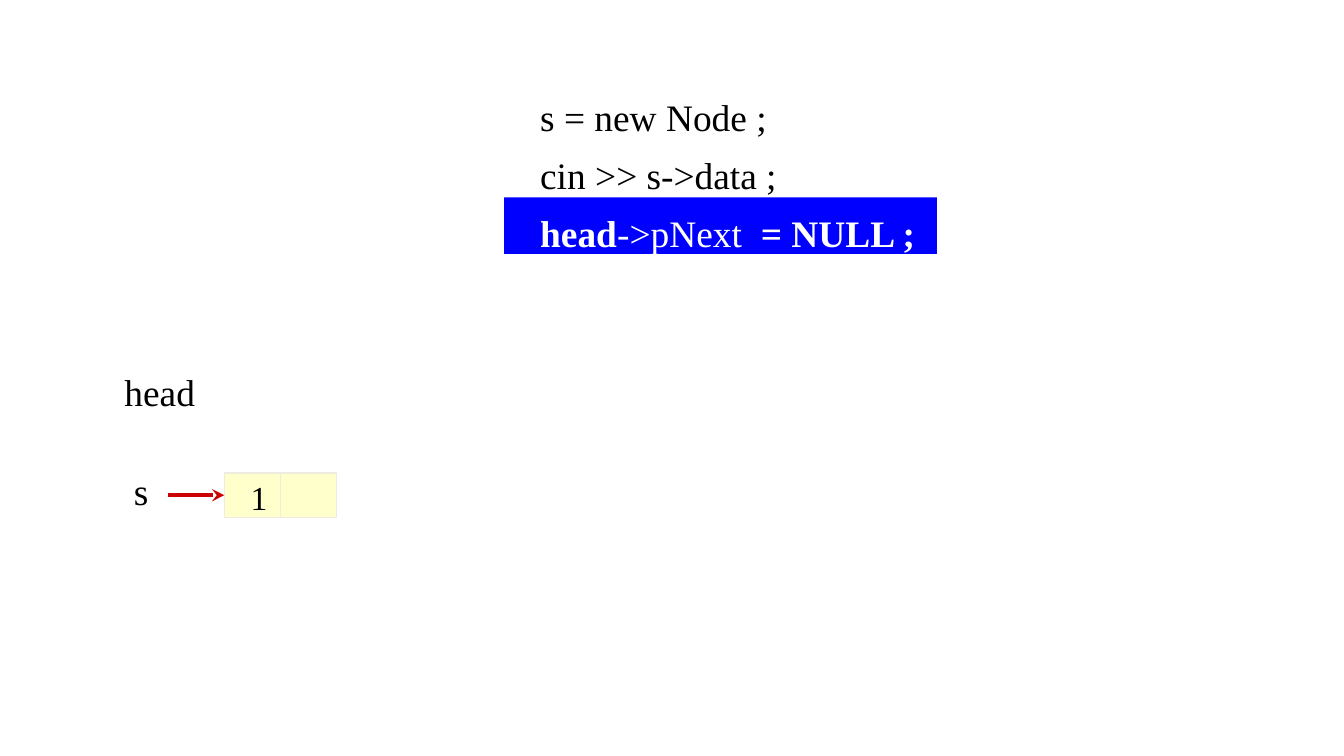
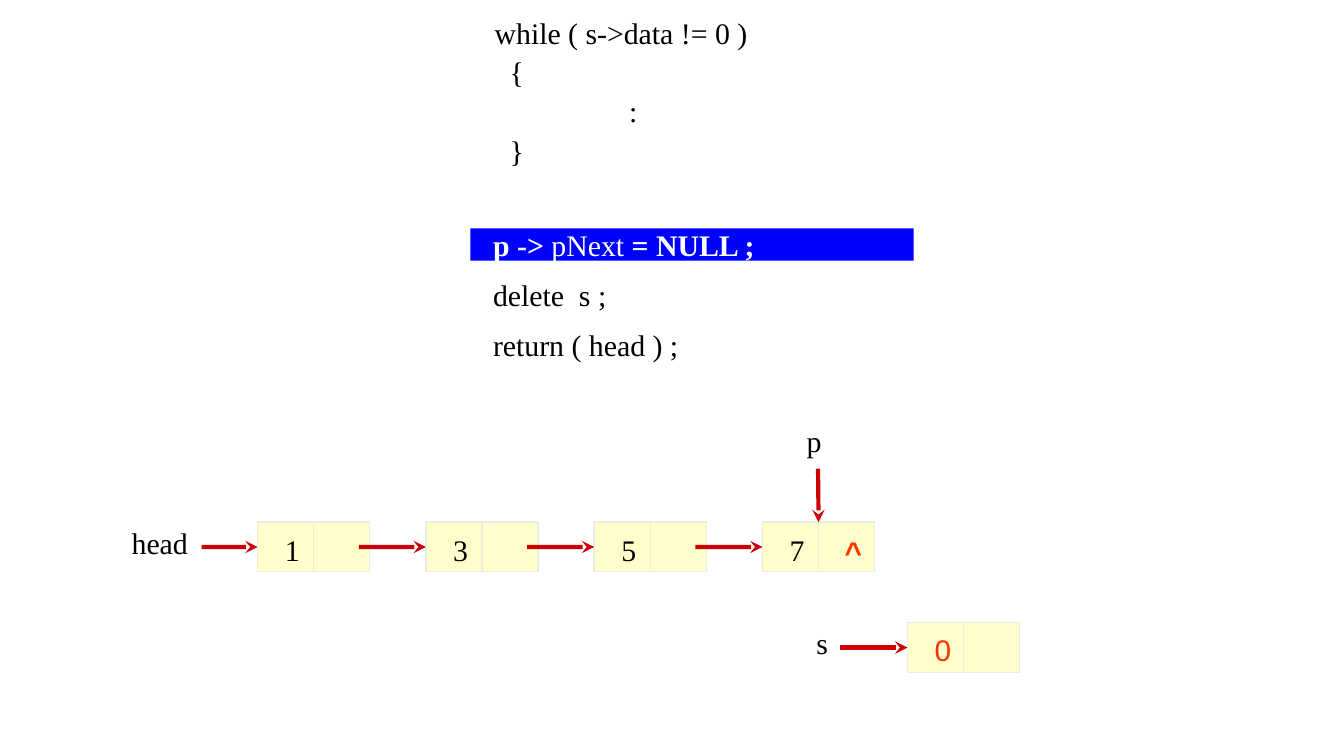
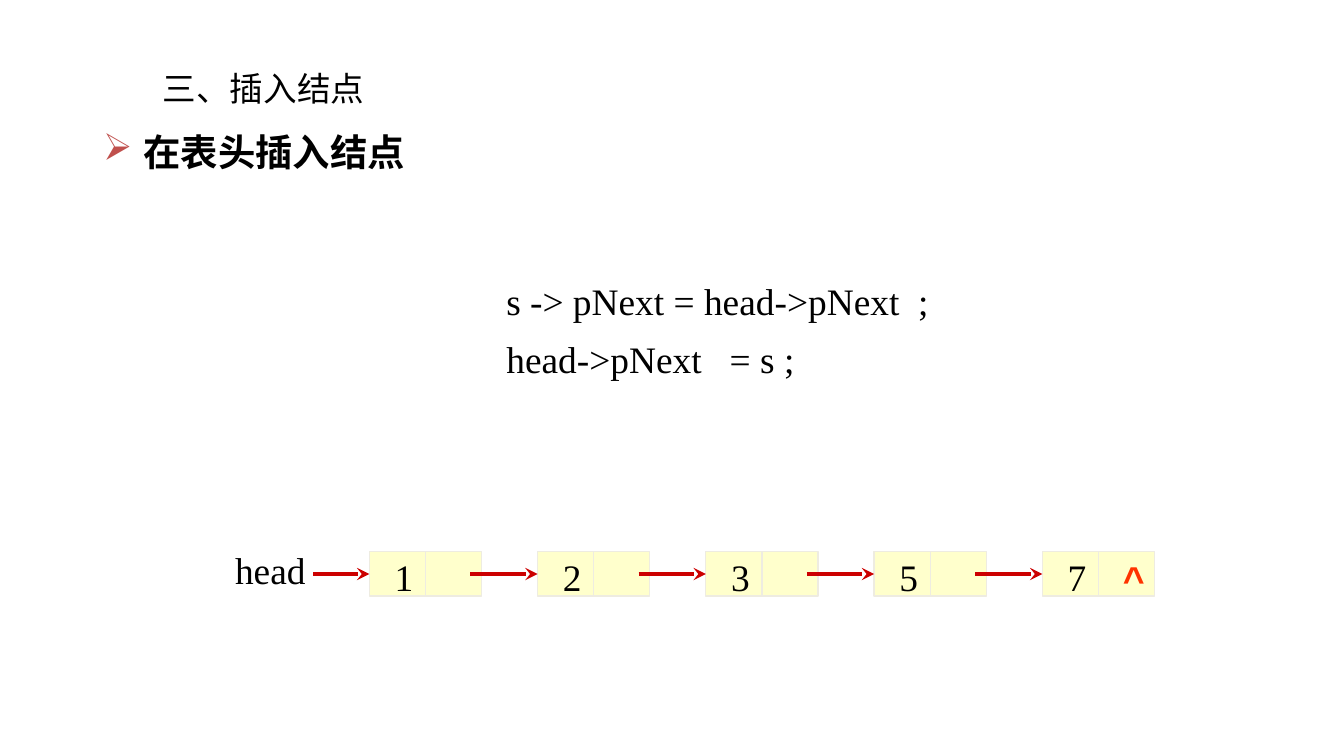
from lxml import etree
from pptx import Presentation
from pptx.dml.color import RGBColor
from pptx.enum import shapes, text
from pptx.oxml import ns
from pptx.util import Cm, Pt

COLORS = {
    "ink": "000000",
    "white": "FFFFFF",
    "band": "0000FF",
    "node": "FFFFCC",
    "edge": "EEECE1",
    "arrow": "CC0000",
    "mark": "FF3300",
    "bullet": "C0504D",
}
SERIF = "Times New Roman"
TITLE_ONLY, BLANK = 5, 6
NODE_WIDTH = 2.12
NODE_PITCH = 3.18
LINK_LENGTH = 1.27


def rgb(name):
    return RGBColor.from_string(COLORS[name])


def add_xml(parent, tag, **attributes):
    return etree.SubElement(parent, ns.qn(tag), attributes)


class Deck:
    def __init__(self):
        self.presentation = Presentation()
        self.presentation.slide_width = Cm(25.4)
        self.presentation.slide_height = Cm(14.29)
        self.slide = None

    def new_slide(self, layout=BLANK):
        layouts = self.presentation.slide_layouts
        self.slide = self.presentation.slides.add_slide(layouts[layout])

    def style(self, paragraph, size, color="ink", font=SERIF, bold=False):
        paragraph.font.size = Pt(size)
        paragraph.font.name = font
        paragraph.font.bold = bold
        paragraph.font.color.rgb = rgb(color)

    def title(self, wording, left, top, width, height):
        title = self.slide.shapes.title
        title.left, title.top = Cm(left), Cm(top)
        title.width, title.height = Cm(width), Cm(height)
        frame = title.text_frame
        frame.text = wording
        frame.vertical_anchor = text.MSO_ANCHOR.MIDDLE
        frame.auto_size = text.MSO_AUTO_SIZE.NONE
        heading = frame.paragraphs[0]
        heading.alignment = text.PP_ALIGN.LEFT
        heading._p.get_or_add_pPr().set("indent", str(Cm(0.18)))
        self.style(heading, 18, font="Calibri")

    def text_box(self, left, top, width, height, wrap=True):
        box = self.slide.shapes.add_textbox(Cm(left), Cm(top), Cm(width), Cm(height))
        frame = box.text_frame
        frame.word_wrap = wrap
        frame.auto_size = text.MSO_AUTO_SIZE.SHAPE_TO_FIT_TEXT
        return frame

    def bullet(self, wording, left, top, width, height):
        point = self.text_box(left, top, width, height).paragraphs[0]
        point.text = wording
        point.line_spacing = 1.4
        properties = point._p.get_or_add_pPr()
        properties.set("marL", str(Cm(0.76)))
        properties.set("indent", str(-Cm(0.76)))
        bullet_color = add_xml(properties, "a:buClr")
        add_xml(bullet_color, "a:srgbClr", val=COLORS["bullet"])
        add_xml(properties, "a:buChar", char="➢")
        self.style(point, 20, bold=True)

    def code(self, lines, left, top, width, height, size, spacing):
        """Write code lines; a line given as (text, bold) pairs is the highlighted one."""
        frame = self.text_box(left, top, width, height)
        for number, line in enumerate(lines):
            statement = frame.add_paragraph() if number else frame.paragraphs[0]
            statement.line_spacing = spacing
            highlighted = not isinstance(line, str)
            for part, bold in line if highlighted else [(line, None)]:
                run = statement.add_run()
                run.text = part
                run.font.bold = bold
                if "\t" in part:
                    tabs = add_xml(statement._p.get_or_add_pPr(), "a:tabLst")
                    add_xml(tabs, "a:tab", pos=str(Cm(2.54)), algn="l")
            self.style(statement, size, "white" if highlighted else "ink")

    def label(self, wording, center_x, center_y, size, **style):
        width = 0.5 + 0.017 * size * len(wording)
        height = 0.25 + 0.042 * size
        frame = self.text_box(center_x - width / 2, center_y - height / 2, width, height, wrap=False)
        frame.vertical_anchor = text.MSO_ANCHOR.MIDDLE
        word = frame.paragraphs[0]
        word.text = wording
        word.alignment = text.PP_ALIGN.CENTER
        self.style(word, size, **style)

    def rectangle(self, left, top, width, height, fill, edge=None):
        rectangle = self.slide.shapes.add_shape(
            shapes.MSO_SHAPE.RECTANGLE, Cm(left), Cm(top), Cm(width), Cm(height))
        rectangle.shadow.inherit = False
        rectangle.fill.solid()
        rectangle.fill.fore_color.rgb = rgb(fill)
        if edge:
            rectangle.line.color.rgb = rgb(edge)
            rectangle.line.width = Pt(0.75)
        else:
            rectangle.line.fill.background()
        return rectangle

    def line(self, start, end, color, weight):
        line = self.slide.shapes.add_connector(
            shapes.MSO_CONNECTOR.STRAIGHT, *map(Cm, start + end))
        line.line.color.rgb = rgb(color)
        line.line.width = Pt(weight)
        add_xml(line._element.spPr, "a:effectLst")
        return line

    def arrow(self, start, end, node, side):
        arrow = self.line(start, end, "arrow", 2.25)
        add_xml(arrow.line._get_or_add_ln(), "a:tailEnd", type="stealth")
        arrow.end_connect(node, side)

    def node(self, left, center_y, height, value, size, reach, **style):
        """Draw a two-part list node with an arrow of length reach into its left side."""
        top = center_y - height / 2
        node = self.rectangle(left, top, NODE_WIDTH, height, "node", "edge")
        middle = left + NODE_WIDTH / 2
        self.line((middle, top), (middle, top + height), "edge", 0.75)
        self.arrow((left - reach, center_y), (left, center_y), node, 1)
        self.label(value, left + 0.65, center_y + 0.04, size, **style)
        return node

    def linked_list(self, values, left, center_y, height, size, reach):
        """Draw linked nodes, mark the last as the end, and return the last."""
        for number, value in enumerate(values):
            node_left = left + number * NODE_PITCH
            node = self.node(node_left, center_y, height, value, size,
                             LINK_LENGTH if number else reach)
        self.label("^", node_left + 1.69, center_y + 0.09, size,
                   color="mark", font="Arial", bold=True)
        return node


def first_node(deck):
    deck.new_slide()
    deck.rectangle(9.53, 3.73, 8.18, 1.07, "band")
    deck.code(
        ["s = new Node ;", "cin >> s->data ;",
         [("head", True), ("->pNext  ", False), ("= NULL ;", True)]],
        9.96, 1.4, 7.95, 3.48, size=20, spacing=1.3)
    deck.label("head", 3.02, 7.4, 20)
    deck.label("s", 2.67, 9.28, 20)
    deck.node(4.24, 9.36, 0.84, "1", 18, reach=1.06)


def list_end(deck):
    deck.new_slide()
    deck.rectangle(8.89, 4.32, 8.38, 0.61, "band")
    deck.code(["while ( s->data != 0 )", "  {", "\t:", "  }"],
              9.1, 0.08, 8.05, 3.25, size=16, spacing=1.1)
    deck.code(
        [[("p -> ", True), ("pNext", False), (" = NULL ;", True)],
         "delete  s ;", "return ( head ) ;"],
        9.07, 3.89, 6, 3.02, size=16, spacing=1.4)
    list_y, spare_y = 10.34, 12.24
    deck.label("head", 3.02, 10.25, 16)
    last = deck.linked_list("1357", 4.87, list_y, 0.94, 16, reach=1.06)
    deck.label("p", 15.38, 8.32, 16)
    deck.arrow((15.46, 8.86), (15.46, 9.87), last, 0)
    deck.label("s", 15.54, 12.15, 16)
    deck.node(17.15, spare_y, 0.94, "0", 16, LINK_LENGTH, color="mark", font="Arial")


def insert_at_head(deck):
    deck.new_slide(TITLE_ONLY)
    deck.title("三、插入结点", 2.64, 1.12, 7.49, 1.09)
    deck.bullet("在表头插入结点", 1.7, 1.98, 22.23, 1.45)
    deck.code(["s -> pNext = head->pNext  ;", "head->pNext   = s ;"],
              9.32, 4.88, 8.8, 2.36, size=20, spacing=1.3)
    deck.label("head", 5.11, 10.76, 20)
    deck.linked_list("12357", 6.98, 10.85, 0.84, 20, reach=1.06)


def main():
    deck = Deck()
    first_node(deck)
    list_end(deck)
    insert_at_head(deck)
    deck.presentation.save("out.pptx")


if __name__ == "__main__":
    main()
